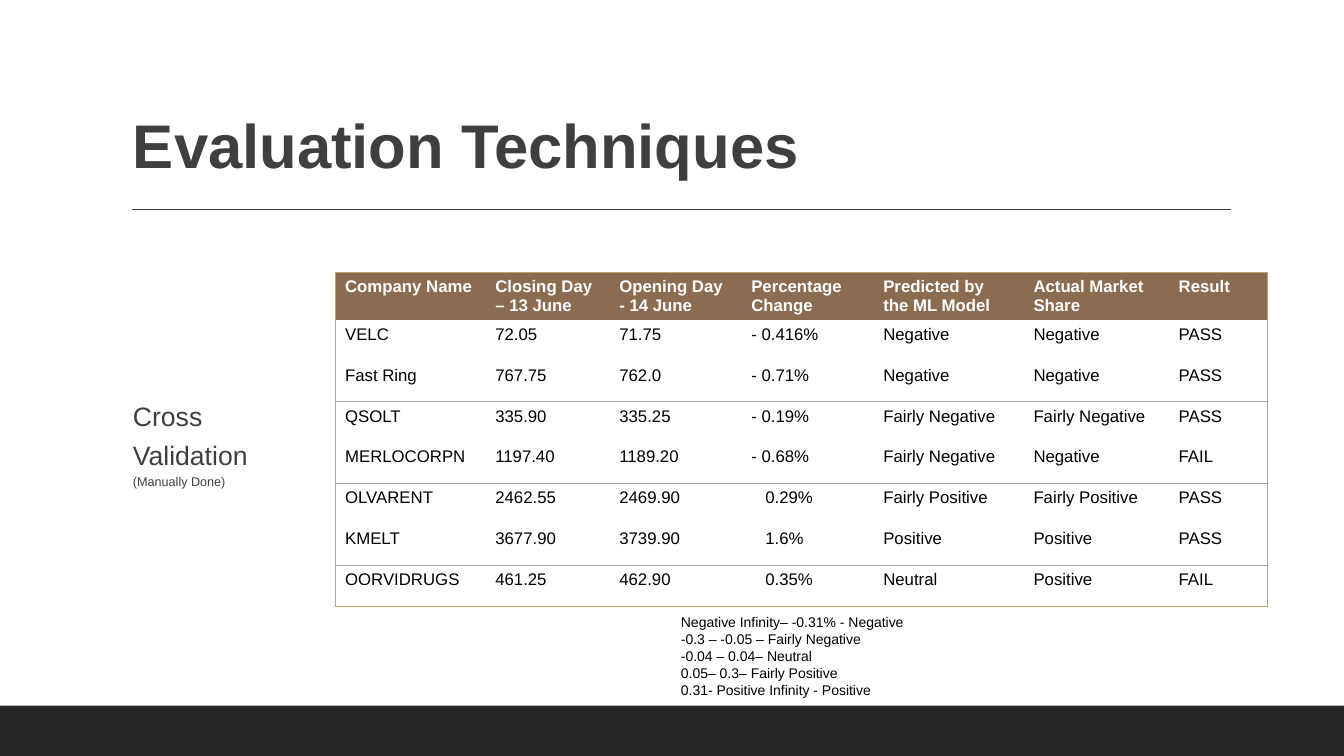
import pptx
import pptx.dml.color
import pptx.enum.shapes
import pptx.enum.text
import pptx.oxml
import pptx.oxml.ns
import pptx.util

Pt = pptx.util.Pt
ANCHOR = pptx.enum.text.MSO_ANCHOR
GREY, GOLD, BROWN, DARK = "3F3F3F", "BFA067", "8B6C51", "262626"
RULE = "A6A6A6"

HEADER = ["Company Name", "Closing Day – 13 June", "Opening Day - 14 June",
          "Percentage Change", "Predicted by the ML Model",
          "Actual Market Share", "Result"]
RESULTS = [
    ["VELC", "72.05", "71.75", "- 0.416%", "Negative", "Negative", "PASS"],
    ["Fast Ring", "767.75", "762.0", "- 0.71%", "Negative", "Negative", "PASS"],
    ["QSOLT", "335.90", "335.25", "- 0.19%", "Fairly Negative", "Fairly Negative", "PASS"],
    ["MERLOCORPN", "1197.40", "1189.20", "- 0.68%", "Fairly Negative", "Negative", "FAIL"],
    ["OLVARENT", "2462.55", "2469.90", "0.29%", "Fairly Positive", "Fairly Positive", "PASS"],
    ["KMELT", "3677.90", "3739.90", "1.6%", "Positive", "Positive", "PASS"],
    ["OORVIDRUGS", "461.25", "462.90", "0.35%", "Neutral", "Positive", "FAIL"],
]
COLUMN_WIDTHS = [107.3, 88.6, 94.3, 94.3, 107.3, 103.7, 70.5]
CHANGE_COLUMN = 3
SCALE = ["Negative Infinity– -0.31% - Negative", "-0.3 – -0.05 – Fairly Negative",
         "-0.04 – 0.04– Neutral", "0.05– 0.3– Fairly Positive",
         "0.31- Positive Infinity - Positive"]


def rgb(color):
    return pptx.dml.color.RGBColor.from_string(color)


def add_text(p, text, size=12, color="000000", bold=False):
    r = p.add_run()
    r.text = text
    r.font.name = "Arial"
    r.font.size = Pt(size)
    r.font.bold = bold
    r.font.color.rgb = rgb(color)
    return r


def set_borders(cell, **colors):
    """Draw the named sides (L, R, T, B) and clear the others."""
    tcPr = cell._tc.get_or_add_tcPr()
    for side in "LRTB":
        color = colors.get(side)
        fill = (f'<a:solidFill><a:srgbClr val="{color}"/></a:solidFill>'
                if color else "<a:noFill/>")
        tcPr.append(pptx.oxml.parse_xml(
            f'<a:ln{side} {pptx.oxml.ns.nsdecls("a")} w="9525">{fill}</a:ln{side}>'))


class Slide:
    def __init__(self, prs):
        self.s = prs.slides.add_slide(prs.slide_layouts[5])

    def frame(self, sp, anchor, margins):
        tf = sp.text_frame
        tf.word_wrap = True
        tf.auto_size = pptx.enum.text.MSO_AUTO_SIZE.NONE
        tf.vertical_anchor = anchor
        (tf.margin_left, tf.margin_top,
         tf.margin_right, tf.margin_bottom) = [Pt(m) for m in margins]
        return tf

    def title(self, text, x, y, w, h):
        sp = self.s.shapes.title
        sp.left, sp.top, sp.width, sp.height = Pt(x), Pt(y), Pt(w), Pt(h)
        p = self.frame(sp, ANCHOR.BOTTOM, (8.6, 8.6, 8.6, 7.2)).paragraphs[0]
        p.alignment = pptx.enum.text.PP_ALIGN.LEFT
        p.line_spacing = 0.9
        add_text(p, text, size=44, color=GREY, bold=True)

    def textbox(self, x, y, w, h, anchor=ANCHOR.TOP, margins=(7.2, 3.6, 7.2, 3.6)):
        sp = self.s.shapes.add_textbox(Pt(x), Pt(y), Pt(w), Pt(h))
        return self.frame(sp, anchor, margins)

    def bar(self, x, y, w, h, color):
        sp = self.s.shapes.add_shape(
            pptx.enum.shapes.MSO_SHAPE.RECTANGLE, Pt(x), Pt(y), Pt(w), Pt(h))
        sp.shadow.inherit = False
        sp.fill.solid()
        sp.fill.fore_color.rgb = rgb(color)
        sp.line.fill.background()

    def line(self, x1, y1, x2, y2, color, width=1):
        sp = self.s.shapes.add_connector(
            pptx.enum.shapes.MSO_CONNECTOR.STRAIGHT, Pt(x1), Pt(y1), Pt(x2), Pt(y2))
        sp.line.color.rgb = rgb(color)
        sp.line.width = Pt(width)
        sp._element.spPr.append(pptx.oxml.parse_xml(
            f'<a:effectLst {pptx.oxml.ns.nsdecls("a")}/>'))

    def table(self, rows, widths, x, y, header_height, row_height):
        height = header_height + row_height * (len(rows) - 1)
        table = self.s.shapes.add_table(
            len(rows), len(widths), Pt(x), Pt(y), Pt(sum(widths)), Pt(height)).table
        table.horz_banding = False
        for column, width in zip(table.columns, widths):
            column.width = Pt(width)
        for i, row in enumerate(rows):
            table.rows[i].height = Pt(row_height if i else header_height)
            for j, text in enumerate(row):
                self.cell(table.cell(i, j), text, i, j, len(rows) - 1, len(row) - 1)

    def cell(self, cell, text, i, j, last_row, last_column):
        # Body rows are ruled in pairs; the outer top and bottom are gold
        side = RULE if i else GOLD
        pair_end = RULE if i and i % 2 == 0 else None
        pair_start = RULE if i > 1 and i % 2 else None
        set_borders(cell, L=side if j == 0 else None,
                    R=side if j == last_column else None,
                    T=pair_start if i else GOLD,
                    B=GOLD if i == last_row else pair_end)
        p = cell.text_frame.paragraphs[0]
        if i:
            cell.fill.background()
            add_text(p, text)
        else:
            cell.fill.solid()
            cell.fill.fore_color.rgb = rgb(BROWN)
            add_text(p, text, color="FFFFFF", bold=True)
        # Gains line up with the digits of the losses
        if i and j == CHANGE_COLUMN and not text.startswith("-"):
            p._p.get_or_add_pPr().set("marL", str(Pt(10)))


def main():
    prs = pptx.Presentation()
    prs.slide_width, prs.slide_height = Pt(960), Pt(540)
    slide = Slide(prs)

    # Footer bar, title and rule
    slide.bar(0, 504, 960, 36, DARK)
    slide.title("Evaluation Techniques", 86.4, 22.3, 792, 114.5)
    slide.line(94.3, 149.5, 879, 149.5, GREY)

    # Side label
    tf = slide.textbox(86.4, 167, 126, 295.2, ANCHOR.MIDDLE, (8.6, 8.6, 8.6, 7.2))
    p = tf.paragraphs[0]
    p.line_spacing = 1.2
    add_text(p, "Cross Validation", size=19, color=GREY)
    p.add_line_break()
    add_text(p, "(Manually Done)", size=9, color=GREY)

    # Results table
    slide.table([HEADER] + RESULTS, COLUMN_WIDTHS, 239.3, 194.4, 33.8, 29.25)

    # Rating scale
    tf = slide.textbox(479.3, 435, 186.5, 67.7)
    for i, text in enumerate(SCALE):
        p = tf.add_paragraph() if i else tf.paragraphs[0]
        add_text(p, text, size=10)

    prs.save("out.pptx")


if __name__ == "__main__":
    main()
